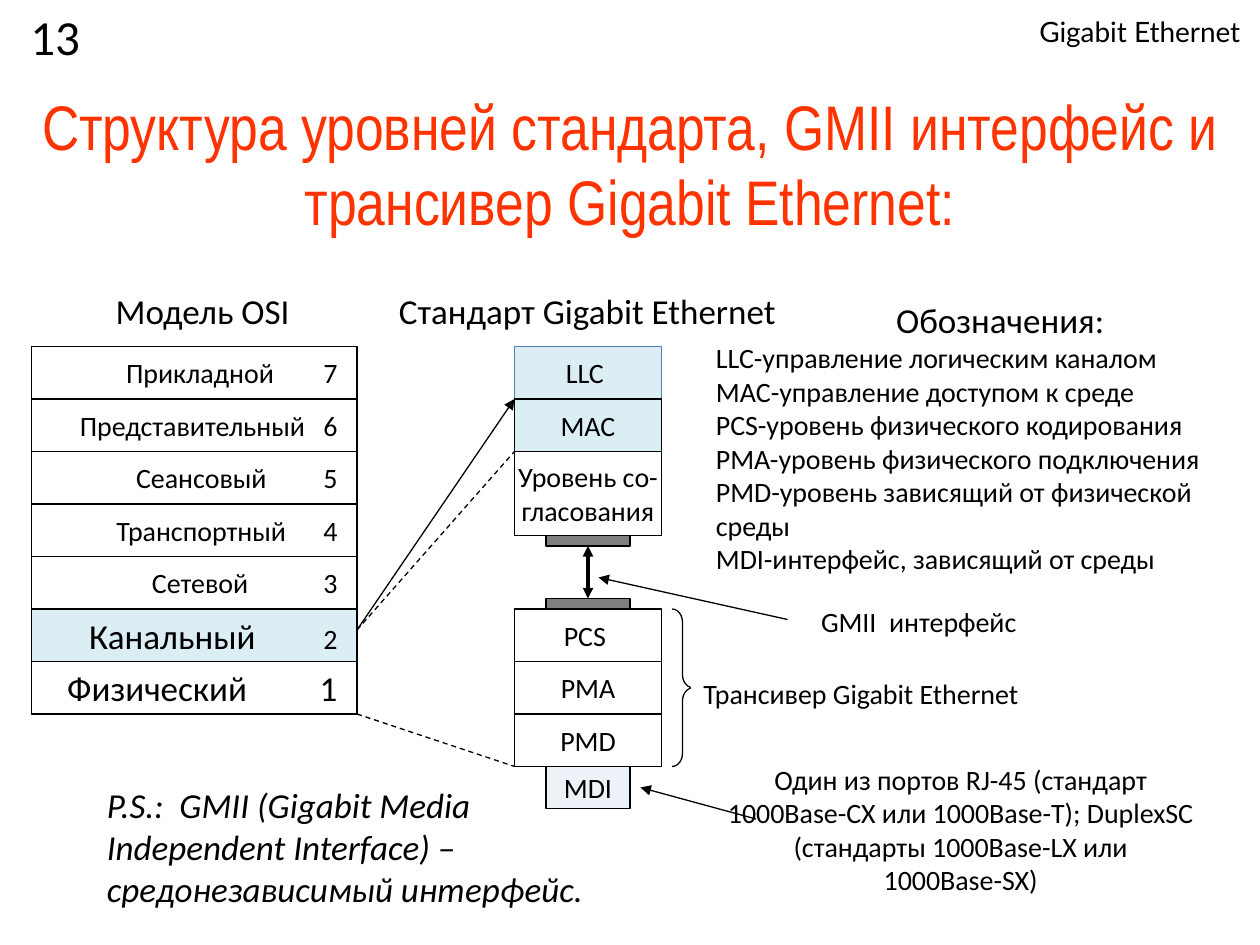
from lxml.etree import SubElement
from pptx import Presentation
from pptx.dml.color import RGBColor
from pptx.enum.dml import MSO_LINE
from pptx.enum.shapes import MSO_CONNECTOR, MSO_SHAPE
from pptx.enum.text import MSO_ANCHOR, PP_ALIGN
from pptx.oxml.ns import qn
from pptx.util import Inches, Pt

COLORS = {
    "black": "000000",
    "white": "FFFFFF",
    "title": "FF3300",
    "link": "DBEEF4",
    "link_border": "4F81BD",
    "port": "DCE6F2",
}
UNIT = Inches(10) // 120  # the slide is a grid of 120 columns and 90 rows
ROW = 5  # height of one protocol layer

presentation = Presentation()
presentation.slide_width = 120 * UNIT
presentation.slide_height = 90 * UNIT
slide = presentation.slides.add_slide(presentation.slide_layouts[6])


def put_text(text, left, top, width, height, size=16, font="Calibri", color="black",
             fill=None, border=None, alpha=None, align=PP_ALIGN.LEFT,
             anchor=MSO_ANCHOR.TOP, wrap=True, italic=False,
             kind=MSO_SHAPE.RECTANGLE):
    """Add a shape in grid units; "\\n" starts a paragraph, "\\v" breaks a line."""
    shape = slide.shapes.add_shape(kind, *(round(n * UNIT) for n in (left, top, width, height)))
    shape.shadow.inherit = False
    if fill:
        shape.fill.solid()
        shape.fill.fore_color.rgb = RGBColor.from_string(COLORS[fill])
        if alpha:
            rgb = shape.fill._xPr.find(".//" + qn("a:srgbClr"))
            SubElement(rgb, qn("a:alpha"), val=str(alpha * 1000))
    else:
        shape.fill.background()
    if border:
        shape.line.color.rgb = RGBColor.from_string(COLORS[border])
        shape.line.width = Pt(0.75)
    else:
        shape.line.fill.background()
    frame = shape.text_frame
    frame.word_wrap = wrap
    frame.vertical_anchor = anchor
    frame.text = text
    for paragraph in frame.paragraphs:
        paragraph.alignment = align
        for line_break in paragraph._p.findall(qn("a:br")):
            SubElement(line_break, qn("a:rPr"), sz=str(size * 100))
        for run in paragraph.runs:
            run.font.name = font
            run.font.size = Pt(size)
            run.font.italic = italic
            run.font.color.rgb = RGBColor.from_string(COLORS[color])
    return shape


def draw_line(start, end, width=0.75, dashed=False, arrows=()):
    connector = slide.shapes.add_connector(
        MSO_CONNECTOR.STRAIGHT, *(round(n * UNIT) for n in (*start, *end)))
    connector.line.color.rgb = RGBColor.from_string(COLORS["black"])
    connector.line.width = Pt(width)
    if dashed:
        connector.line.dash_style = MSO_LINE.DASH
    for arrow in arrows:
        SubElement(connector.line._get_or_add_ln(), qn(f"a:{arrow}"), type="triangle")
    SubElement(connector._element.spPr, qn("a:effectLst"))
    return connector


# Legend
legend = put_text(
    "Обозначения:\n"
    "LLC-управление логическим каналом\n"
    "МАC-управление доступом к среде\n"
    "PCS-уровень физического кодирования\n"
    "PМА-уровень физического подключения\n"
    "PMD-уровень зависящий от физической среды\n"
    "MDI-интерфейс, зависящий от среды",
    67, 27, 50, 28.4)
heading = legend.text_frame.paragraphs[0]
heading.runs[0].font.size = Pt(20)
heading.line_spacing = Pt(29)
heading._p.get_or_add_pPr().set("marL", str(Inches(1.43)))

# OSI model: name, centre of the name in inches, name size, number size, fill
osi_layers = [
    ("Прикладной", 1.24, 16, 16, "white"),
    ("Представительный", 1.18, 16, 16, "white"),
    ("Сеансовый", 1.25, 16, 16, "white"),
    ("Транспортный", 1.25, 16, 16, "white"),
    ("Сетевой", 1.24, 16, 16, "white"),
    ("Канальный", 1.02, 20, 16, "link"),
    ("Физический", 0.9, 20, 20, "white"),
]
for index, (name, center, name_size, number_size, fill) in enumerate(osi_layers):
    layer = put_text(f"\t{name}", 3, 33 + index * ROW, 31, ROW, size=name_size,
                     fill=fill, border="black", anchor=MSO_ANCHOR.MIDDLE)
    paragraph = layer.text_frame.paragraphs[0]
    number = paragraph.add_run()
    number.text = f"\t{len(osi_layers) - index}"
    number.font.name = "Calibri"
    number.font.size = Pt(number_size)
    number.font.color.rgb = RGBColor.from_string(COLORS["black"])
    tab_stops = SubElement(paragraph._p.get_or_add_pPr(), qn("a:tabLst"))
    for position, alignment in ((center, "ctr"), (2.33, "r")):
        SubElement(tab_stops, qn("a:tab"), pos=str(Inches(position)), algn=alignment)

for caption, left, width in (("Модель OSI", 9, 20.6), ("Стандарт Gigabit Ethernet", 35, 41.9)):
    put_text(caption, left, 27, width, 5.2, size=20, fill="white",
             align=PP_ALIGN.CENTER, wrap=False)

# Gigabit Ethernet stack
for name, top, height, fill, border in (
    ("LLC ", 33, ROW, "link", "link_border"),
    ("MAC", 38, ROW, "link", "black"),
    ("Уровень со-\vгласования", 43, 8, "white", "black"),
    ("PCS ", 58, ROW, "white", "black"),
    ("PMA", 63, ROW, "white", "black"),
    ("PMD", 68, ROW, "white", "black"),
):
    put_text(name, 49, top, 14, height, fill=fill, border=border,
             align=PP_ALIGN.CENTER, anchor=MSO_ANCHOR.MIDDLE, wrap=False)

upper_plate, lower_plate, port = [
    put_text(name, 52, top, 8, height, fill=fill, border="black", alpha=50,
             align=PP_ALIGN.CENTER, anchor=MSO_ANCHOR.MIDDLE, wrap=False)
    for name, top, height, fill in (
        ("", 51, 1, "black"), ("", 57, 1, "black"), ("MDI", 73, 4, "port"))
]
gmii_link = draw_line((56, 57), (56, 52), width=2, arrows=("headEnd", "tailEnd"))
gmii_link.begin_connect(lower_plate, 0)
gmii_link.end_connect(upper_plate, 2)

draw_line((34, 60), (49, 43), dashed=True)
draw_line((34, 68), (49, 73), dashed=True)
draw_line((34, 60), (49, 38), arrows=("tailEnd",))

# Notes on the stack
put_text("GMII  интерфейс", 76, 57, 22, 4.4, fill="white", align=PP_ALIGN.RIGHT)
draw_line((75, 59), (57, 55), arrows=("tailEnd",))
put_text("Один из портов RJ-45 (стандарт 1000Base-CX или 1000Base-T); DuplexSC "
         "(стандарты 1000Base-LX или\v1000Base-SX)",
         67, 72, 49, 14, fill="white", align=PP_ALIGN.CENTER)
draw_line((72, 78), (61, 75), arrows=("tailEnd",))
brace = put_text("", 64, 58, 2, 15, fill="white", border="black", kind=MSO_SHAPE.RIGHT_BRACE)
brace.adjustments[0] = 0.625
put_text("Трансивер Gigabit Ethernet", 65.8, 63.8, 32.8, 4.4, fill="white", wrap=False)

# Title, header and footnote
put_text("Gigabit Ethernet ", 90.6, 0.8, 29.4, 4.4, font="Lato",
         align=PP_ALIGN.RIGHT, wrap=False)
put_text("P.S.:  GMII (Gigabit Media\vIndependent Interface) – средонезависимый интерфейс.",
         9, 74, 58, 13.2, size=20, italic=True)
put_text("Структура уровней стандарта, GMII интерфейс и трансивер Gigabit Ethernet:",
         0, 8, 120, 15, size=36, font="Arial Narrow", color="title",
         align=PP_ALIGN.CENTER, anchor=MSO_ANCHOR.MIDDLE)
put_text("13", 0, 0, 8.8, 6, size=28, align=PP_ALIGN.RIGHT)

presentation.save("out.pptx")
